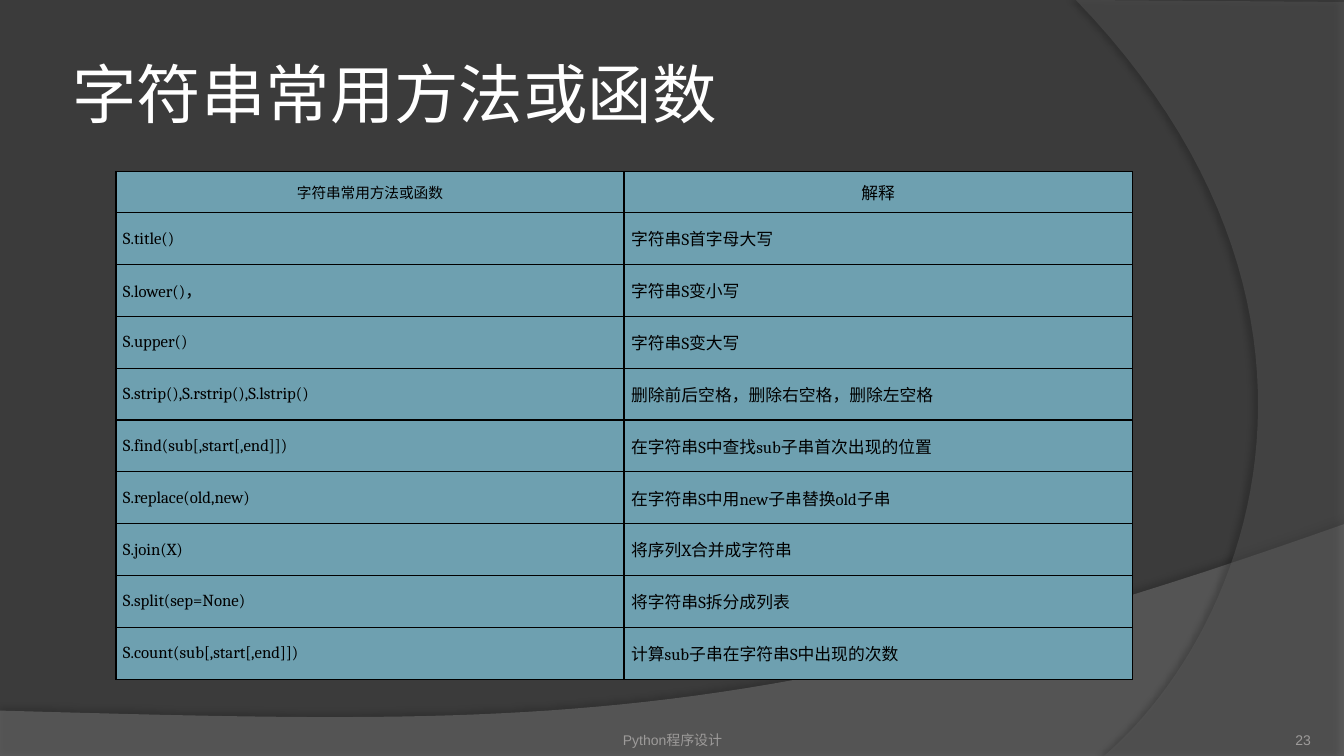
import itertools

import pptx
import pptx.dml.color
import pptx.enum.text
import pptx.oxml
import pptx.oxml.ns
import pptx.util
from pptx.dml.color import RGBColor
from pptx.enum.text import MSO_ANCHOR, PP_ALIGN
from pptx.util import Inches

# Content
TITLE = "字符串常用方法或函数"
HEADINGS = [("字符串常用方法或函数", 10.5), ("解释", 12)]
METHODS = [
    ("S.title()", "字符串S首字母大写"),
    ("S.lower()，", "字符串S变小写"),
    ("S.upper()", "字符串S变大写"),
    ("S.strip(),S.rstrip(),S.lstrip()", "删除前后空格，删除右空格，删除左空格"),
    ("S.find(sub[,start[,end]])", "在字符串S中查找sub子串首次出现的位置"),
    ("S.replace(old,new)", "在字符串S中用new子串替换old子串"),
    ("S.join(X)", "将序列X合并成字符串"),
    ("S.split(sep=None)", "将字符串S拆分成列表"),
    ("S.count(sub[,start[,end]])", "计算sub子串在字符串S中出现的次数"),
]
# text, left, width, top inset, alignment
FOOTERS = [
    ("Python程序设计", 4.56, 4.22, 0.05, PP_ALIGN.CENTER),
    ("23", 11.89, 1.11, 0, PP_ALIGN.RIGHT),
]

BACKGROUND = RGBColor(0x3B, 0x3B, 0x3B)
WAVE = RGBColor(0x7F, 0x7F, 0x7F)
SIDE = RGBColor(0x5E, 0x5E, 0x5E)
CELL = RGBColor(0x6E, 0xA0, 0xB0)
WHITE = RGBColor(0xFF, 0xFF, 0xFF)
BLACK = RGBColor(0x00, 0x00, 0x00)
FOOTER = RGBColor(0x9D, 0x9B, 0x9A)

WIDTH, HEIGHT = 13.33, 7.5
TABLE_LEFT, TABLE_TOP, TABLE_WIDTH, TABLE_HEIGHT = 1.15, 1.7, 10.08, 5.04
HEADER_HEIGHT = 0.41


def add_xml(parent, tag, **attributes):
    child = parent.makeelement(pptx.oxml.ns.qn(tag), attributes)
    parent.append(child)
    return child


def curve(p0, p1, p2, p3, steps=48):
    """Points along a cubic curve, without its start."""
    points = []
    for i in range(1, steps + 1):
        t = i / steps
        weights = ((1 - t) ** 3, 3 * t * (1 - t) ** 2, 3 * t * t * (1 - t), t ** 3)
        points.append(tuple(sum(w * p[axis] for w, p in zip(weights, (p0, p1, p2, p3)))
                            for axis in (0, 1)))
    return points


def add_swoosh(slide, outline, color, opacity, shadow_opacity, distance, angle):
    points = [(Inches(x), Inches(y)) for x, y in outline]
    builder = slide.shapes.build_freeform(*points[0])
    builder.add_line_segments(points[1:], close=True)
    swoosh = builder.convert_to_shape()
    swoosh.fill.solid()
    swoosh.fill.fore_color.rgb = color
    swoosh.line.fill.background()
    swoosh.shadow.inherit = False
    properties = swoosh.element.spPr
    fill_color = properties.find(pptx.oxml.ns.qn("a:solidFill"))[0]
    add_xml(fill_color, "a:alpha", val=str(opacity * 1000))
    shadow = add_xml(properties.find(pptx.oxml.ns.qn("a:effectLst")), "a:outerShdw",
                     blurRad=str(pptx.util.Pt(4)), dist=str(pptx.util.Pt(distance)),
                     dir=str(angle * 60000), algn="ctr", rotWithShape="0")
    shadow_color = add_xml(shadow, "a:srgbClr", val=str(BLACK))
    add_xml(shadow_color, "a:alpha", val=str(shadow_opacity * 1000))


def set_insets(box, left, top, right, bottom):
    box.margin_left, box.margin_top = Inches(left), Inches(top)
    box.margin_right, box.margin_bottom = Inches(right), Inches(bottom)


def format_cell(cell, text, size, align):
    set_insets(cell, 0.07, 0, 0.07, 0)
    cell.vertical_anchor = MSO_ANCHOR.MIDDLE
    line = cell.text_frame.paragraphs[0]
    line.alignment = align
    line.space_before = pptx.util.Pt(10)
    line.font.size = pptx.util.Pt(size)
    line.font.color.rgb = BLACK
    # Code is set in Cambria, Chinese in Calibri
    for is_code, letters in itertools.groupby(text, str.isascii):
        run = line.add_run()
        run.text = "".join(letters)
        run.font.size = pptx.util.Pt(size)
        run.font.color.rgb = BLACK
        run.font.name = "Cambria" if is_code else "Calibri"
    # Borders come before the fill
    properties = cell._tc.get_or_add_tcPr()
    for side in ("a:lnL", "a:lnR", "a:lnT", "a:lnB"):
        border = add_xml(properties, side, w=str(pptx.util.Pt(1)))
        add_xml(add_xml(border, "a:solidFill"), "a:srgbClr", val=str(BLACK))
    cell.fill.solid()
    cell.fill.fore_color.rgb = CELL


def main():
    deck = pptx.Presentation()
    deck.slide_width, deck.slide_height = Inches(WIDTH), Inches(HEIGHT)
    slide = deck.slides.add_slide(deck.slide_layouts[5])
    slide.background.fill.solid()
    slide.background.fill.fore_color.rgb = BACKGROUND

    # Background swooshes
    wave = [(0, 7.05), (0, 7.51), (WIDTH, 7.51), (WIDTH, 5.2)]
    wave += curve(wave[-1], (7.45, 7.29), (5.21, 7.19), wave[0])
    add_swoosh(slide, wave, WAVE, 45, 35, 3.5, 270)
    side = [(WIDTH, 0.02), (WIDTH, HEIGHT), (10.95, HEIGHT)]
    side += curve(side[-1], (12.46, 6.19), (13.57, 3), (10.67, 0))
    add_swoosh(slide, side, SIDE, 40, 45, 4, 180)

    # Title
    title = slide.shapes.title
    title.left, title.top = Inches(0.67), Inches(0.3)
    title.width, title.height = Inches(10.89), Inches(1.25)
    title.text = TITLE
    title.text_frame.vertical_anchor = MSO_ANCHOR.MIDDLE
    set_insets(title.text_frame, 0.05, 0.05, 0.05, 0.05)
    heading = title.text_frame.paragraphs[0]
    heading.alignment = PP_ALIGN.LEFT
    heading.font.name = "Lato"
    heading.font.size = pptx.util.Pt(46)
    heading.font.color.rgb = WHITE

    # Table of methods
    methods = slide.shapes.add_table(
        len(METHODS) + 1, len(HEADINGS), Inches(TABLE_LEFT), Inches(TABLE_TOP),
        Inches(TABLE_WIDTH), Inches(TABLE_HEIGHT)).table
    methods.horz_banding = False
    methods.first_row = False
    for column in methods.columns:
        column.width = Inches(TABLE_WIDTH / len(HEADINGS))
    for row in methods.rows:
        row.height = Inches((TABLE_HEIGHT - HEADER_HEIGHT) / len(METHODS))
    methods.rows[0].height = Inches(HEADER_HEIGHT)
    for c, (text, size) in enumerate(HEADINGS):
        format_cell(methods.cell(0, c), text, size, PP_ALIGN.CENTER)
    for r, entry in enumerate(METHODS, start=1):
        for c, text in enumerate(entry):
            format_cell(methods.cell(r, c), text, 12, PP_ALIGN.LEFT)

    # Footer and page number
    for text, left, width, top_inset, align in FOOTERS:
        frame = slide.shapes.add_textbox(Inches(left), Inches(7.02), Inches(width),
                                         Inches(0.4)).text_frame
        frame.word_wrap = True
        frame.vertical_anchor = MSO_ANCHOR.BOTTOM
        set_insets(frame, 0, top_inset, 0, 0)
        note = frame.paragraphs[0]
        note.text = text
        note.alignment = align
        note.font.name = "Arial"
        note.font.size = pptx.util.Pt(10)
        note.font.color.rgb = FOOTER

    deck.save("out.pptx")


if __name__ == "__main__":
    main()
